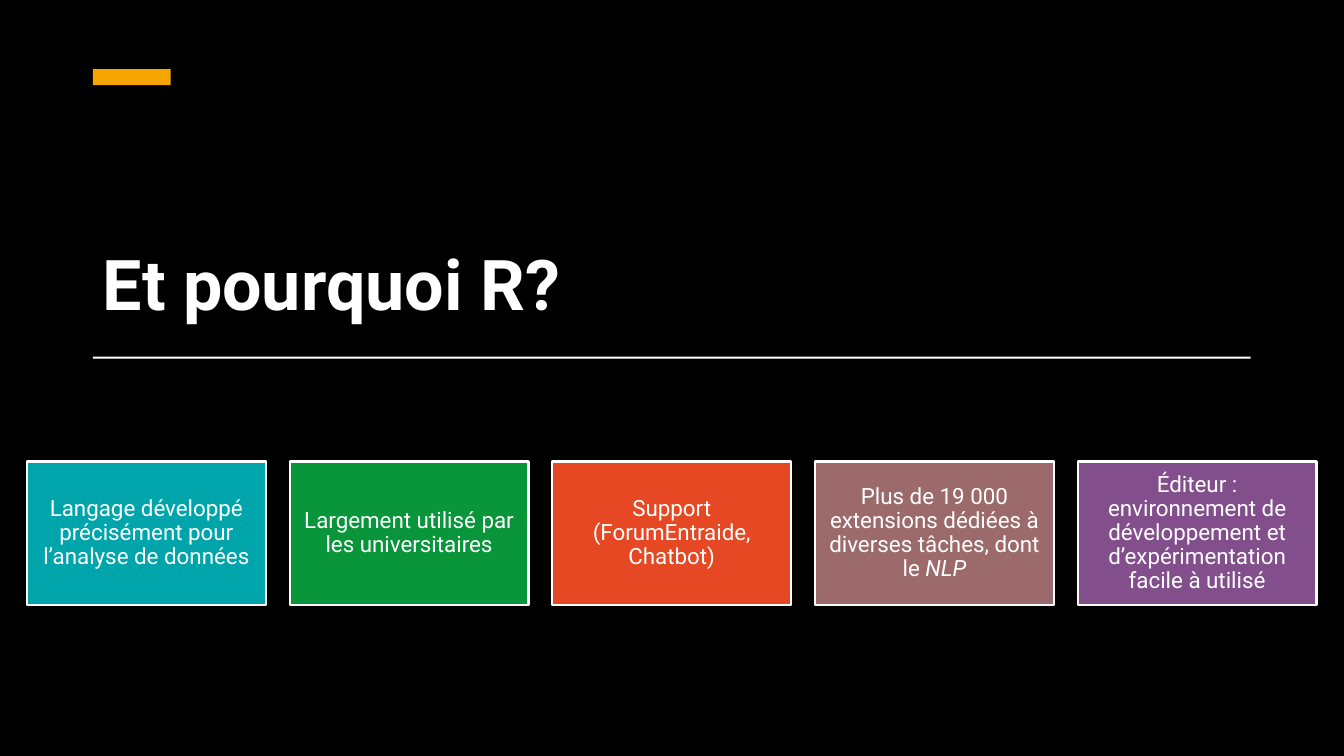
from dataclasses import dataclass

from pptx import Presentation
from pptx.dml.color import RGBColor
from pptx.enum.shapes import MSO_SHAPE
from pptx.enum.text import MSO_ANCHOR, PP_ALIGN
from pptx.shapes.autoshape import Shape
from pptx.slide import Slide
from pptx.util import Cm, Pt

RECTANGLE = MSO_SHAPE.RECTANGLE
BOTTOM = MSO_ANCHOR.BOTTOM
MIDDLE = MSO_ANCHOR.MIDDLE
CENTER = PP_ALIGN.CENTER
LEFT = PP_ALIGN.LEFT
BLANK_LAYOUT = 6


@dataclass(frozen=True)
class Theme:
    font: str = "Roboto"
    background: str = "000000"
    foreground: str = "FFFFFF"
    accent: str = "F5A700"
    title_size: float = 50
    card_size: float = 16
    card_border: float = 1.5
    line_spacing: float = 0.9


@dataclass(frozen=True)
class Box:
    left: float
    top: float
    width: float
    height: float


@dataclass(frozen=True)
class Card:
    text: str
    fill: str
    emphasis: str = ""


THEME = Theme()
TITLE_BOX = Box(2.34, 2.62, 29.18, 5.72)
ACCENT_BAR = Box(2.34, 1.74, 1.96, 0.41)
TITLE_RULE = Box(2.34, 8.99, 29.18, 0.05)
FIRST_CARD = Box(0.68, 11.63, 6.02, 3.61)
CARD_PITCH = 6.62
CARD_INSET = 0.18

CARDS = [
    Card("Langage développé précisément pour l’analyse de données", "00A5AB"),
    Card("Largement utilisé par les universitaires", "09963B"),
    Card("Support (ForumEntraide, Chatbot)", "E64823"),
    Card("Plus de 19 000 extensions dédiées à diverses tâches, dont le ", "9C6A6A", "NLP"),
    Card(
        "Éditeur : environnement de développement et d’expérimentation facile à utilisé",
        "824F8C",
    ),
]


def color(value: str) -> RGBColor:
    return RGBColor.from_string(value)


def lengths(box: Box) -> list[Cm]:
    return [Cm(value) for value in (box.left, box.top, box.width, box.height)]


def add_rectangle(slide: Slide, box: Box, fill: str) -> Shape:
    shape = slide.shapes.add_shape(RECTANGLE, *lengths(box))
    shape.shadow.inherit = False
    shape.fill.solid()
    shape.fill.fore_color.rgb = color(fill)
    shape.line.fill.background()
    return shape


def format_text(
    shape: Shape, size: float, alignment: PP_ALIGN, anchor: MSO_ANCHOR, bold: bool = False
) -> None:
    shape.text_frame.word_wrap = True
    shape.text_frame.vertical_anchor = anchor
    for paragraph in shape.text_frame.paragraphs:
        paragraph.alignment = alignment
        paragraph.line_spacing = THEME.line_spacing
        for run in paragraph.runs:
            run.font.name = THEME.font
            run.font.size = Pt(size)
            run.font.bold = bold
            run.font.color.rgb = color(THEME.foreground)


def add_title(slide: Slide, text: str) -> None:
    title = slide.shapes.add_textbox(*lengths(TITLE_BOX))
    title.text_frame.text = text
    format_text(title, THEME.title_size, LEFT, BOTTOM, bold=True)


def add_card(slide: Slide, card: Card, index: int) -> None:
    left = FIRST_CARD.left + index * CARD_PITCH
    box = Box(left, FIRST_CARD.top, FIRST_CARD.width, FIRST_CARD.height)
    shape = add_rectangle(slide, box, card.fill)
    shape.line.color.rgb = color(THEME.foreground)
    shape.line.width = Pt(THEME.card_border)
    frame = shape.text_frame
    frame.margin_left = frame.margin_right = Cm(CARD_INSET)
    frame.margin_top = frame.margin_bottom = Cm(CARD_INSET)
    frame.text = card.text
    if card.emphasis:
        run = frame.paragraphs[0].add_run()
        run.text = card.emphasis
        run.font.italic = True
    format_text(shape, THEME.card_size, CENTER, MIDDLE)


def main() -> None:
    presentation = Presentation()
    presentation.slide_width = Cm(33.87)
    presentation.slide_height = Cm(19.05)
    slide = presentation.slides.add_slide(presentation.slide_layouts[BLANK_LAYOUT])
    slide.background.fill.solid()
    slide.background.fill.fore_color.rgb = color(THEME.background)
    add_title(slide, "Et pourquoi R?")
    add_rectangle(slide, ACCENT_BAR, THEME.accent)
    add_rectangle(slide, TITLE_RULE, THEME.foreground)
    for index, card in enumerate(CARDS):
        add_card(slide, card, index)
    presentation.save("out.pptx")


if __name__ == "__main__":
    main()
